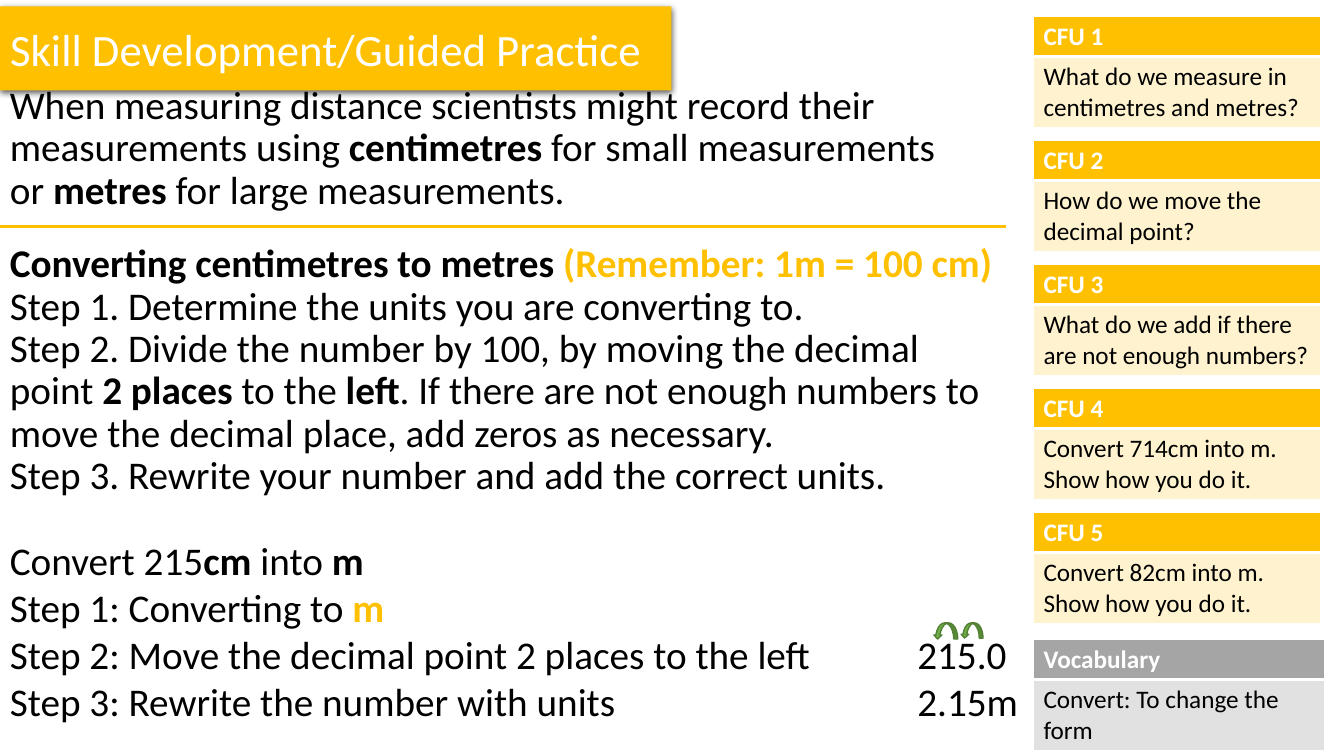
import lxml.etree
import pptx
import pptx.dml.color
import pptx.enum.shapes
import pptx.enum.text
import pptx.oxml
import pptx.oxml.ns
import pptx.util

Inches = pptx.util.Inches
Pt = pptx.util.Pt
RGBColor = pptx.dml.color.RGBColor
qn = pptx.oxml.ns.qn
NS = pptx.oxml.ns.nsdecls("a")

BLACK = RGBColor(0x00, 0x00, 0x00)
WHITE = RGBColor(0xFF, 0xFF, 0xFF)
GOLD = RGBColor(0xFF, 0xC0, 0x00)
CREAM = RGBColor(0xFF, 0xE6, 0x99)
GREY = RGBColor(0xA5, 0xA5, 0xA5)
PALE_GREY = RGBColor(0xE1, 0xE1, 0xE1)
GREEN = RGBColor(0x70, 0xAD, 0x47)
DARK_GREEN = RGBColor(0x53, 0x81, 0x35)


def write(paragraph, text, size=28, color=BLACK, bold=False):
    run = paragraph.add_run()
    run.text = text
    run.font.name = "Calibri"
    run.font.size = Pt(size)
    run.font.color.rgb = color
    run.font.bold = bold


deck = pptx.Presentation()
deck.slide_width = Inches(13.33)
deck.slide_height = Inches(7.5)
slide = deck.slides.add_slide(deck.slide_layouts[5])

# Title banner
banner = slide.shapes.title
banner.left, banner.top = Inches(0), Inches(0.16)
banner.width, banner.height = Inches(6.66), Inches(0.64)
banner_properties = banner.element.spPr
banner_properties.append(pptx.oxml.parse_xml(
    f'<a:prstGeom {NS} prst="homePlate"><a:avLst/></a:prstGeom>'))
banner.fill.solid()
banner.fill.fore_color.rgb = GOLD
banner.line.fill.background()
banner_properties.append(pptx.oxml.parse_xml(
    f'<a:effectLst {NS}><a:outerShdw blurRad="57150" dist="19050" dir="5400000" '
    'algn="ctr" rotWithShape="0"><a:srgbClr val="000000"><a:alpha val="63000"/>'
    '</a:srgbClr></a:outerShdw></a:effectLst>'))
banner.text_frame.word_wrap = False
banner.text_frame.auto_size = pptx.enum.text.MSO_AUTO_SIZE.SHAPE_TO_FIT_TEXT
banner_text = banner.text_frame.paragraphs[0]
banner_text.alignment = pptx.enum.text.PP_ALIGN.LEFT
write(banner_text, "Skill Development/Guided Practice", size=32, color=WHITE)

# Body text: each paragraph is a list of (text, format) runs
BOLD = {"bold": True}
GOLD_BOLD = {"bold": True, "color": GOLD}
introduction = [
    [("When measuring distance scientists might record their measurements using ", {}),
     ("centimetres", BOLD), (" for small measurements or ", {}),
     ("metres", BOLD), (" for large measurements.", {})],
]
method = [
    [("Converting centimetres to metres ", BOLD),
     ("(Remember: 1m = 100 cm)", GOLD_BOLD)],
    [("Step 1. Determine the units you are converting to.", {})],
    [("Step 2. Divide the number by 100, by moving the decimal point ", {}),
     ("2 places ", BOLD), ("to the ", {}), ("left", BOLD),
     (". If there are not enough numbers to move the decimal place, "
      "add zeros as necessary.", {})],
    [("Step 3. Rewrite your number and add the correct units.", {})],
]
worked_example = [
    [("Convert 215", {}), ("cm ", BOLD), ("into ", {}), ("m", BOLD)],
    [("Step 1: Converting to ", {}), ("m", GOLD_BOLD)],
    [("Step 2: Move the decimal point 2 places to the left\t215.0", {})],
    [("Step 3: Rewrite the number with units\t2.15m", {})],
]
for top, width, height, spacing, passage in [
    (0.8, 9.76, 1.37, 0.9, introduction),
    (2.37, 10.12, 2.67, 0.9, method),
    (5.27, 10.36, 1.99, 1.0, worked_example),
]:
    frame = slide.shapes.add_textbox(
        Inches(0), Inches(top), Inches(width), Inches(height)).text_frame
    frame.word_wrap = True
    for number, runs in enumerate(passage):
        paragraph = frame.add_paragraph() if number else frame.paragraphs[0]
        if any("\t" in text for text, _ in runs):
            # Answers line up at one tab stop
            tabs = lxml.etree.SubElement(
                paragraph._p.get_or_add_pPr(), qn("a:tabLst"))
            lxml.etree.SubElement(
                tabs, qn("a:tab"), pos=str(Inches(9)), algn="l")
        paragraph.line_spacing = spacing
        for text, style in runs:
            write(paragraph, text, **style)

# Divider
divider = slide.shapes.add_connector(
    pptx.enum.shapes.MSO_CONNECTOR.STRAIGHT,
    Inches(0), Inches(2.25), Inches(9.98), Inches(2.25))
divider.line.color.rgb = GOLD
divider.line.width = Pt(2.25)
lxml.etree.SubElement(divider.element.spPr, qn("a:effectLst"))

# Arrows showing the decimal point hopping left
for left, width, height in [(9.26, 0.24, 0.16), (9.53, 0.22, 0.15)]:
    hop = slide.shapes.add_shape(
        pptx.enum.shapes.MSO_SHAPE.CURVED_DOWN_ARROW,
        Inches(left), Inches(6.18), Inches(width), Inches(height))
    hop.shadow.inherit = False
    hop.fill.solid()
    hop.fill.fore_color.rgb = GREEN
    hop.line.color.rgb = DARK_GREEN
    hop.line.width = Pt(1)
    hop.element.spPr.get_or_add_xfrm().set("flipH", "1")

# Side cards: five questions at equal steps, then the vocabulary
questions = [
    "What do we measure in centimetres and metres?",
    "How do we move the decimal point?",
    "What do we add if there are not enough numbers?",
    "Convert 714cm into m. Show how you do it.",
    "Convert 82cm into m. Show how you do it.",
]
cards = [(0.16 + 1.23 * i, 2.85, f"CFU {i + 1}", question, GOLD, CREAM, 47)
         for i, question in enumerate(questions)]
cards.append((6.34, 2.89, "Vocabulary", "Convert: To change the form",
              GREY, PALE_GREY, 100))
for top, width, heading, body, heading_fill, body_fill, opacity in cards:
    card = slide.shapes.add_table(
        2, 1, Inches(10.25), Inches(top), Inches(width), Inches(1.1)).table
    card.rows[0].height = Inches(0.39)
    card.rows[1].height = Inches(0.71)
    for row, text, fill, alpha, color, edges in [
        (0, heading, heading_fill, 100, WHITE, {"L": 1, "R": 1, "T": 1, "B": 3}),
        (1, body, body_fill, opacity, BLACK, {"L": 1, "R": 1, "T": 3, "B": 1}),
    ]:
        cell = card.cell(row, 0)
        write(cell.text_frame.paragraphs[0], text, size=18, color=color,
              bold=row == 0)
        cell.fill.solid()
        cell.fill.fore_color.rgb = fill
        properties = cell._tc.get_or_add_tcPr()
        if alpha < 100:
            lxml.etree.SubElement(properties.find(".//" + qn("a:srgbClr")),
                                  qn("a:alpha"), val=str(alpha * 1000))
        for position, (side, weight) in enumerate(edges.items()):
            properties.insert(position, pptx.oxml.parse_xml(
                f'<a:ln{side} {NS} w="{Pt(weight)}"><a:solidFill>'
                f'<a:srgbClr val="{WHITE}"/></a:solidFill></a:ln{side}>'))

deck.save("out.pptx")
